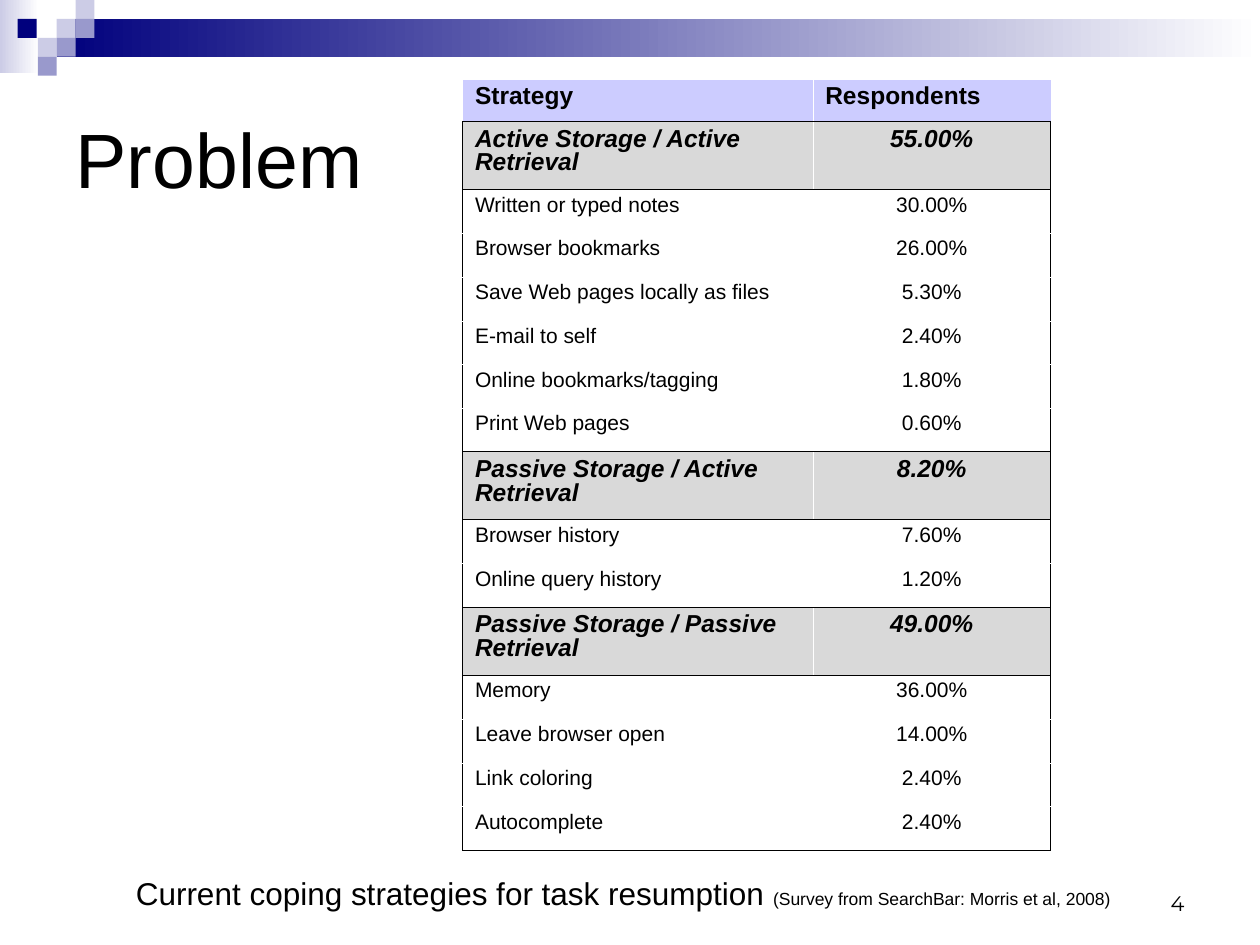
from lxml.etree import SubElement
from pptx import Presentation
from pptx.dml.color import RGBColor
from pptx.enum.shapes import MSO_SHAPE
from pptx.enum.text import MSO_ANCHOR, PP_ALIGN
from pptx.oxml.ns import qn
from pptx.util import Inches, Pt

BLACK = RGBColor(0x00, 0x00, 0x00)
WHITE = RGBColor(0xFF, 0xFF, 0xFF)
NAVY = RGBColor(0x00, 0x00, 0x7D)
PALE = RGBColor(0xCC, 0xCC, 0xE6)
MEDIUM = RGBColor(0x99, 0x99, 0xCC)
LAVENDER = RGBColor(0xCC, 0xCC, 0xFF)
GREY = RGBColor(0xD9, 0xD9, 0xD9)

COLUMNS, ROWS = 200, 150
SQUARE = 3
SQUARES = [
    (9, 3, PALE), (12, 0, PALE), (12, 3, MEDIUM), (6, 6, PALE),
    (2.8, 3, NAVY), (9, 6, MEDIUM), (6, 9, MEDIUM),
]

HEADER, GROUP, ITEM = "header", "group", "item"
ROW_FILLS = {HEADER: LAVENDER, GROUP: GREY, ITEM: WHITE}
ROW_HEIGHTS = {HEADER: 6.8, GROUP: 10.8, ITEM: 6.94}
STRATEGIES = [
    (HEADER, "Strategy", "Respondents"),
    (GROUP, "Active Storage / Active Retrieval", "55.00%"),
    (ITEM, "Written or typed notes", "30.00%"),
    (ITEM, "Browser bookmarks", "26.00%"),
    (ITEM, "Save Web pages locally as files", "5.30%"),
    (ITEM, "E-mail to self", "2.40%"),
    (ITEM, "Online bookmarks/tagging", "1.80%"),
    (ITEM, "Print Web pages", "0.60%"),
    (GROUP, "Passive Storage / Active Retrieval", "8.20%"),
    (ITEM, "Browser history", "7.60%"),
    (ITEM, "Online query history", "1.20%"),
    (GROUP, "Passive Storage / Passive Retrieval", "49.00%"),
    (ITEM, "Memory", "36.00%"),
    (ITEM, "Leave browser open", "14.00%"),
    (ITEM, "Link coloring", "2.40%"),
    (ITEM, "Autocomplete", "2.40%"),
]


class SlideBuilder:
    font = "Arial"

    def __init__(self, deck):
        self.column = deck.slide_width / COLUMNS
        self.row = deck.slide_height / ROWS
        self.page = deck.slides.add_slide(deck.slide_layouts[5])

    def place(self, left, top, width, height):
        return (round(left * self.column), round(top * self.row),
                round(width * self.column), round(height * self.row))

    def add_span(self, para, text, size, bold=False, italic=False, font=None):
        span = para.add_run()
        span.text = text
        span.font.name = font or self.font
        span.font.size = Pt(size)
        span.font.bold = bold
        span.font.italic = italic
        span.font.color.rgb = BLACK

    def rectangle(self, area, color, fade=False):
        box = self.page.shapes.add_shape(MSO_SHAPE.RECTANGLE, *self.place(*area))
        box.shadow.inherit = False
        box.line.fill.background()
        if fade:
            box.fill.gradient()
            box.fill.gradient_angle = 180
            for stop, shade in zip(box.fill.gradient_stops, (WHITE, color)):
                stop.color.rgb = shade
        else:
            box.fill.solid()
            box.fill.fore_color.rgb = color

    def title(self, area, text):
        box = self.page.shapes.title
        box.left, box.top, box.width, box.height = self.place(*area)
        box.text_frame.vertical_anchor = MSO_ANCHOR.MIDDLE
        para = box.text_frame.paragraphs[0]
        para.alignment = PP_ALIGN.LEFT
        self.add_span(para, text, 44)

    def text(self, area, spans, align=PP_ALIGN.LEFT, anchor=MSO_ANCHOR.TOP,
             wrap=True, font=None):
        box = self.page.shapes.add_textbox(*self.place(*area))
        box.text_frame.word_wrap = wrap
        box.text_frame.vertical_anchor = anchor
        para = box.text_frame.paragraphs[0]
        para.alignment = align
        for words, size in spans:
            self.add_span(para, words, size, font=font)

    def borders(self, cell, dark_sides):
        properties = cell._tc.get_or_add_tcPr()
        for side in "LRTB":
            dark = side in dark_sides
            line = SubElement(properties, qn(f"a:ln{side}"),
                              w=str(Pt(0.45 if dark else 0.06)))
            fill = SubElement(line, qn("a:solidFill"))
            SubElement(fill, qn("a:srgbClr"), val=str(BLACK if dark else WHITE))

    def table(self, left, top, widths, records):
        heights = [ROW_HEIGHTS[kind] for kind, *_ in records]
        area = self.place(left, top, sum(widths), sum(heights))
        table = self.page.shapes.add_table(len(records), len(widths), *area).table
        table.first_row = table.horz_banding = False
        for column, width in zip(table.columns, widths):
            column.width = round(width * self.column)
        for row, height in zip(table.rows, heights):
            row.height = round(height * self.row)
        kinds = [kind for kind, *_ in records]
        for index, (kind, *words) in enumerate(records):
            above = kinds[index - 1] if index else kind
            below = kinds[index + 1] if index + 1 < len(kinds) else None
            sides = "T" if kind != above else ""
            sides += "B" if kind != below else ""
            for position, text in enumerate(words):
                edge = "" if kind == HEADER else "LR"[position]
                cell = table.cell(index, position)
                self.borders(cell, sides + edge)
                cell.fill.solid()
                cell.fill.fore_color.rgb = ROW_FILLS[kind]
                para = cell.text_frame.paragraphs[0]
                para.line_spacing = 0.87
                centred = position and kind != HEADER
                para.alignment = PP_ALIGN.CENTER if centred else PP_ALIGN.LEFT
                self.add_span(para, text, 12 if kind == ITEM else 14,
                              bold=kind != ITEM, italic=kind == GROUP)


def main():
    deck = Presentation()
    deck.slide_width, deck.slide_height = Inches(10), Inches(7.5)
    slide = SlideBuilder(deck)
    slide.rectangle((0, 0, 6.2, 11.6), PALE, fade=True)
    slide.rectangle((9, 3, COLUMNS - 9, 6), NAVY, fade=True)
    for left, top, color in SQUARES:
        slide.rectangle((left, top, SQUARE, SQUARE), color)
    slide.text((143.4, 136.6, 46.6, 9.8), [("4", 12)], PP_ALIGN.RIGHT,
               MSO_ANCHOR.BOTTOM, font="Montserrat")
    slide.title((10, 10, 180, 30), "Problem")
    slide.text((19.6, 137.8, 159.2, 8), [
        ("Current coping strategies for task resumption ", 18),
        ("(Survey from SearchBar: Morris et al, 2008)", 10),
    ], wrap=False)
    slide.table(73.4, 12.5, (55.6, 37.8), STRATEGIES)
    deck.save("out.pptx")


if __name__ == "__main__":
    main()
